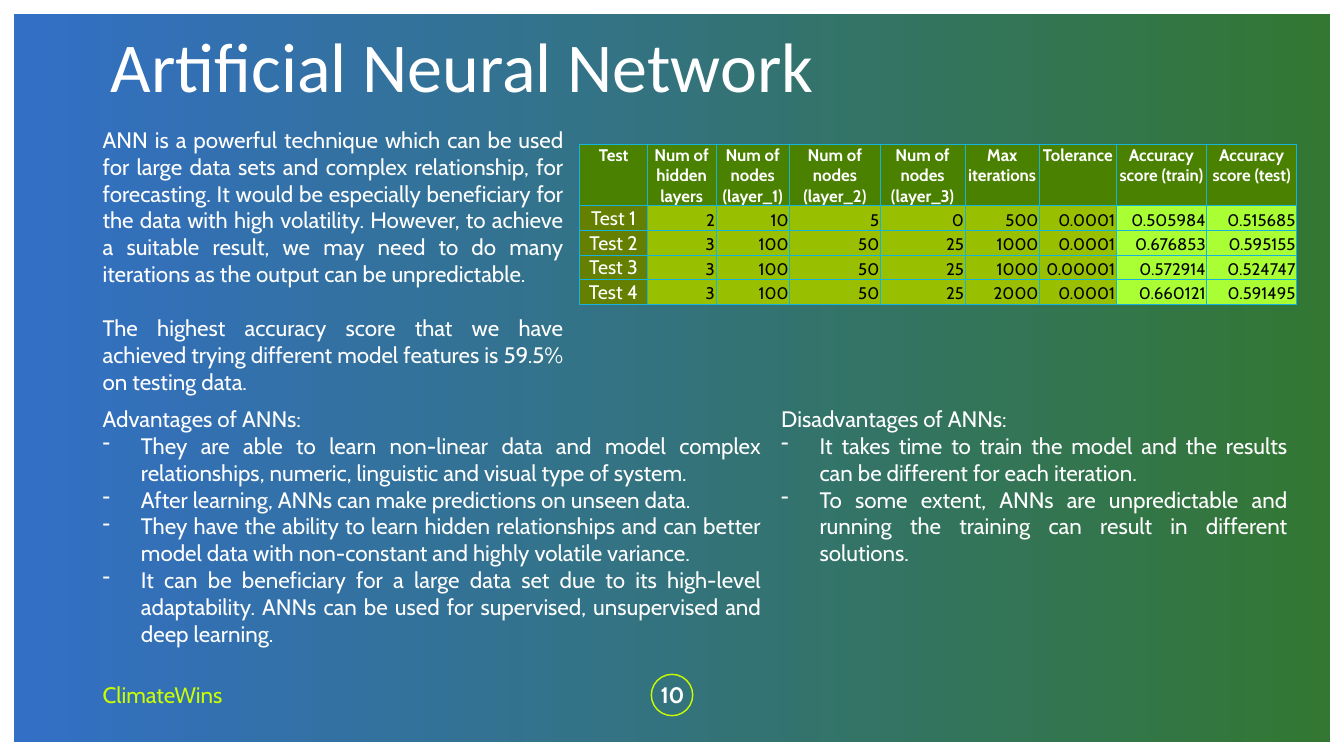
import dataclasses

import lxml.etree
import pptx
import pptx.dml.color
import pptx.enum.shapes
import pptx.enum.text
import pptx.oxml
import pptx.oxml.ns
import pptx.util

ALIGN = pptx.enum.text.PP_ALIGN
ANCHOR = pptx.enum.text.MSO_ANCHOR
SHAPE = pptx.enum.shapes.MSO_SHAPE
WIDTH = pptx.util.Inches(13.33)
HEIGHT = pptx.util.Inches(7.5)

WHITE, BLACK, LIME = "FFFFFF", "000000", "CBFF00"
HEADER_FILL, LABEL_FILL = "4B8100", "658000"
SETTING_FILL, SCORE_FILL = "98BF00", "AAFF34"
BORDER = "16B3DC"
BULLET_INDENT = pptx.util.Inches(0.38)


@dataclasses.dataclass(frozen=True)
class Area:
    """A rectangle in percent of the slide's width and height."""
    left: float
    top: float
    width: float
    height: float

    def box(self) -> tuple[int, int, int, int]:
        return across(self.left), down(self.top), across(self.width), down(self.height)


@dataclasses.dataclass(frozen=True)
class Style:
    size: float = 16
    colour: str = WHITE
    bold: bool = False
    font: str = "Cabin"
    align: ALIGN = ALIGN.LEFT


@dataclasses.dataclass(frozen=True)
class Line:
    text: str
    bullet: bool = False
    space_before: float = 0


@dataclasses.dataclass(frozen=True)
class TextBlock:
    area: Area
    lines: list[Line]
    style: Style
    anchor: ANCHOR = ANCHOR.TOP
    side_inset: float = 0.1
    line_spacing: float = 1.0


def across(percent: float) -> int:
    return round(WIDTH * percent / 100)


def down(percent: float) -> int:
    return round(HEIGHT * percent / 100)


def colour(value: str) -> pptx.dml.color.RGBColor:
    return pptx.dml.color.RGBColor.from_string(value)


def child(parent, tag: str, **attributes: str):
    return lxml.etree.SubElement(parent, pptx.oxml.ns.qn(tag), attributes)


def add_bullet(paragraph) -> None:
    properties = paragraph._p.get_or_add_pPr()
    properties.set("marL", str(BULLET_INDENT))
    properties.set("indent", str(-BULLET_INDENT))
    child(properties, "a:buChar", char="-")
    tabs = child(properties, "a:tabLst")
    child(tabs, "a:tab", pos=str(pptx.util.Inches(0.5)), algn="l")


def write(paragraph, text: str, style: Style) -> None:
    paragraph.alignment = style.align
    run = paragraph.add_run()
    run.text = text
    run.font.name = style.font
    run.font.size = pptx.util.Pt(style.size)
    run.font.bold = style.bold
    run.font.color.rgb = colour(style.colour)


def add_text(slide, block: TextBlock) -> None:
    frame = slide.shapes.add_textbox(*block.area.box()).text_frame
    frame.word_wrap = True
    frame.vertical_anchor = block.anchor
    frame.margin_left = frame.margin_right = pptx.util.Inches(block.side_inset)
    for index, line in enumerate(block.lines):
        paragraph = frame.add_paragraph() if index else frame.paragraphs[0]
        if line.bullet:
            add_bullet(paragraph)
        if line.space_before:
            paragraph.space_before = pptx.util.Pt(line.space_before)
        paragraph.line_spacing = block.line_spacing
        write(paragraph, line.text, block.style)


def add_backdrop(slide) -> None:
    panel = slide.shapes.add_shape(SHAPE.RECTANGLE, *Area(1.05, 1.87, 97.9, 96.27).box())
    panel.shadow.inherit = False
    panel.line.fill.background()
    panel.fill.gradient()
    panel.fill.gradient_angle = 0
    for stop, value in zip(panel.fill.gradient_stops, ("004CB9", "005500")):
        stop.color.rgb = colour(value)
    for element in panel._element.spPr.iter(pptx.oxml.ns.qn("a:srgbClr")):
        child(element, "a:alpha", val="80000")


def add_number_ring(slide) -> None:
    ring = slide.shapes.add_shape(SHAPE.OVAL, *Area(48.46, 89.2, 3.08, 5.47).box())
    ring.shadow.inherit = False
    ring.fill.background()
    ring.line.color.rgb = colour(LIME)
    ring.line.width = pptx.util.Pt(1)


def fill_cell(cell, text: str, style: Style, fill: str, anchor: ANCHOR) -> None:
    cell.margin_left = cell.margin_right = cell.margin_top = pptx.util.Inches(0.01)
    cell.margin_bottom = 0
    cell.vertical_anchor = anchor
    for side in ("a:lnL", "a:lnR", "a:lnT", "a:lnB"):
        edge = child(cell._tc.get_or_add_tcPr(), side, w=str(pptx.util.Pt(0.5)))
        child(child(edge, "a:solidFill"), "a:srgbClr", val=BORDER)
    cell.fill.solid()
    cell.fill.fore_color.rgb = colour(fill)
    write(cell.text_frame.paragraphs[0], text, style)


def add_results(slide) -> None:
    header = Style(size=12, bold=True, align=ALIGN.CENTER)
    label = Style(size=14, align=ALIGN.CENTER)
    value = Style(size=12, colour=BLACK, align=ALIGN.RIGHT)
    area = Area(43.14, 19.07, 53.49, 18.28)
    table = slide.shapes.add_table(len(RESULTS), len(COLUMN_WIDTHS), *area.box()).table
    table.first_row = table.horz_banding = False
    for column, width in zip(table.columns, COLUMN_WIDTHS):
        column.width = across(width)
    for row_index, texts in enumerate(RESULTS):
        table.rows[row_index].height = down(2.67 if row_index else 7.6)
        for column_index, text in enumerate(texts):
            cell = table.cell(row_index, column_index)
            if row_index == 0:
                fill_cell(cell, text, header, HEADER_FILL, ANCHOR.TOP)
            elif column_index == 0:
                fill_cell(cell, text, label, LABEL_FILL, ANCHOR.BOTTOM)
            else:
                fill = SCORE_FILL if column_index >= FIRST_SCORE else SETTING_FILL
                fill_cell(cell, text, value, fill, ANCHOR.BOTTOM)


COLUMN_WIDTHS = [5.03, 5.1, 5.48, 6.75, 6.3, 5.55, 5.7, 6.75, 6.68]
FIRST_SCORE = 7
RESULTS = [
    ["Test", "Num of hidden layers", "Num of nodes (layer_1)", "Num of nodes (layer_2)",
     "Num of nodes (layer_3)", "Max iterations", "Tolerance", "Accuracy score (train)",
     "Accuracy score (test)"],
    ["Test 1", "2", "10", "5", "0", "500", "0.0001", "0.505984", "0.515685"],
    ["Test 2", "3", "100", "50", "25", "1000", "0.0001", "0.676853", "0.595155"],
    ["Test 3", "3", "100", "50", "25", "1000", "0.00001", "0.572914", "0.524747"],
    ["Test 4", "3", "100", "50", "25", "2000", "0.0001", "0.660121", "0.591495"],
]

BODY = Style(align=ALIGN.JUSTIFY)
TEXT_BLOCKS = [
    TextBlock(Area(47.79, 89.2, 4.5, 5.33), [Line("10")],
              Style(bold=True, align=ALIGN.CENTER), ANCHOR.MIDDLE),
    TextBlock(Area(6.9, 89.2, 27.91, 5.33), [Line("ClimateWins")],
              Style(colour=LIME), ANCHOR.MIDDLE),
    TextBlock(Area(8.25, 5.33, 84.92, 7.87), [Line("Artificial Neural Network")],
              Style(size=50, font="Calibri"), ANCHOR.MIDDLE, side_inset=0, line_spacing=0.9),
    TextBlock(Area(6.9, 16, 35.78, 34), [
        Line("ANN is a powerful technique which can be used for large data sets and complex "
             "relationship, for forecasting. It would be especially beneficiary for the data "
             "with high volatility. However, to achieve a suitable result, we may need to do "
             "many iterations as the output can be unpredictable."),
        Line("The highest accuracy score that we have achieved trying different model "
             "features is 59.5% on testing data.", space_before=19.3),
    ], BODY),
    TextBlock(Area(6.9, 52.93, 50.49, 28.53), [
        Line("Advantages of ANNs:"),
        Line("They are able to learn non-linear data and model complex relationships, "
             "numeric, linguistic and visual type of system.", bullet=True),
        Line("After learning, ANNs can make predictions on unseen data.", bullet=True),
        Line("They have the ability to learn hidden relationships and can better model data "
             "with non-constant and highly volatile variance.", bullet=True),
        Line("It can be beneficiary for a large data set due to its high-level adaptability. "
             "ANNs can be used for supervised, unsupervised and deep learning.", bullet=True),
    ], BODY),
    TextBlock(Area(57.39, 52.93, 39.16, 28.53), [
        Line("Disadvantages of ANNs:"),
        Line("It takes time to train the model and the results can be different for each "
             "iteration.", bullet=True),
        Line("To some extent, ANNs are unpredictable and running the training can result in "
             "different solutions.", bullet=True),
    ], BODY),
]


def main() -> None:
    presentation = pptx.Presentation()
    presentation.slide_width, presentation.slide_height = WIDTH, HEIGHT
    slide = presentation.slides.add_slide(presentation.slide_layouts[6])
    add_backdrop(slide)
    add_number_ring(slide)
    for block in TEXT_BLOCKS:
        add_text(slide, block)
    add_results(slide)
    presentation.save("out.pptx")


if __name__ == "__main__":
    main()
